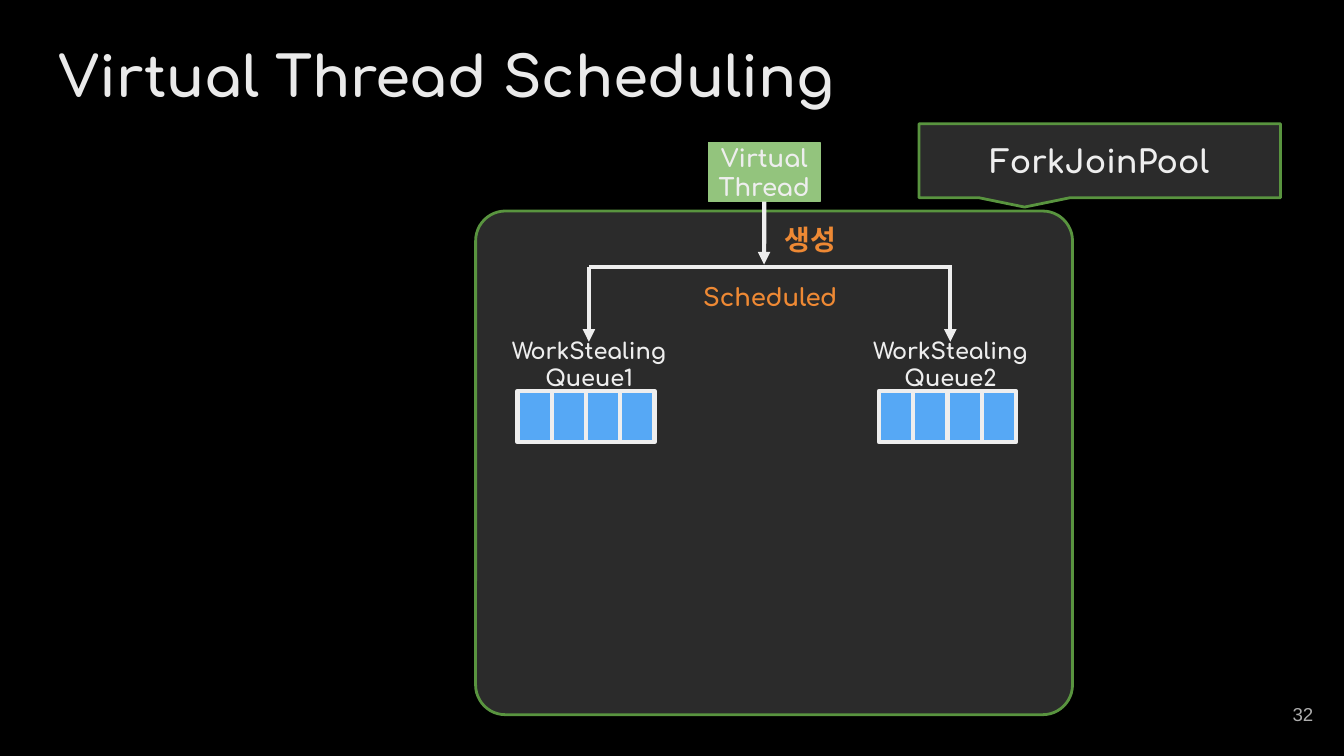
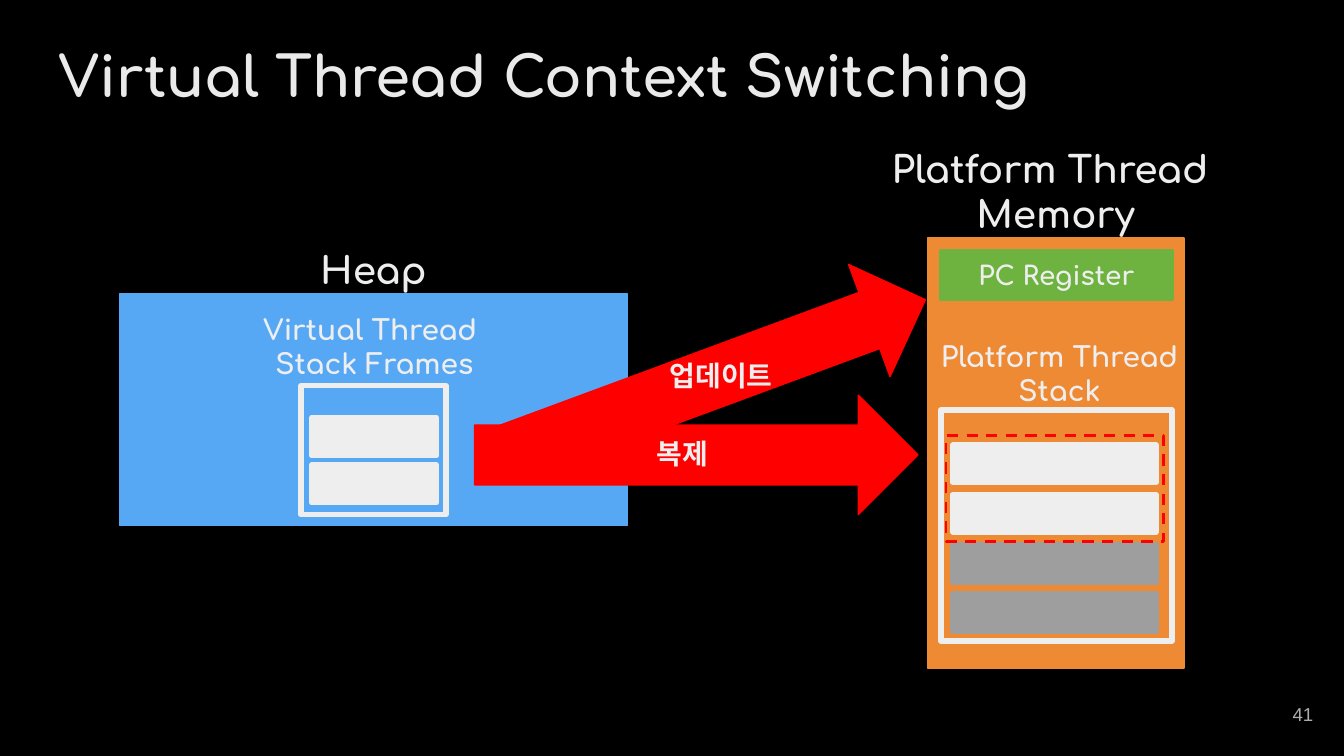
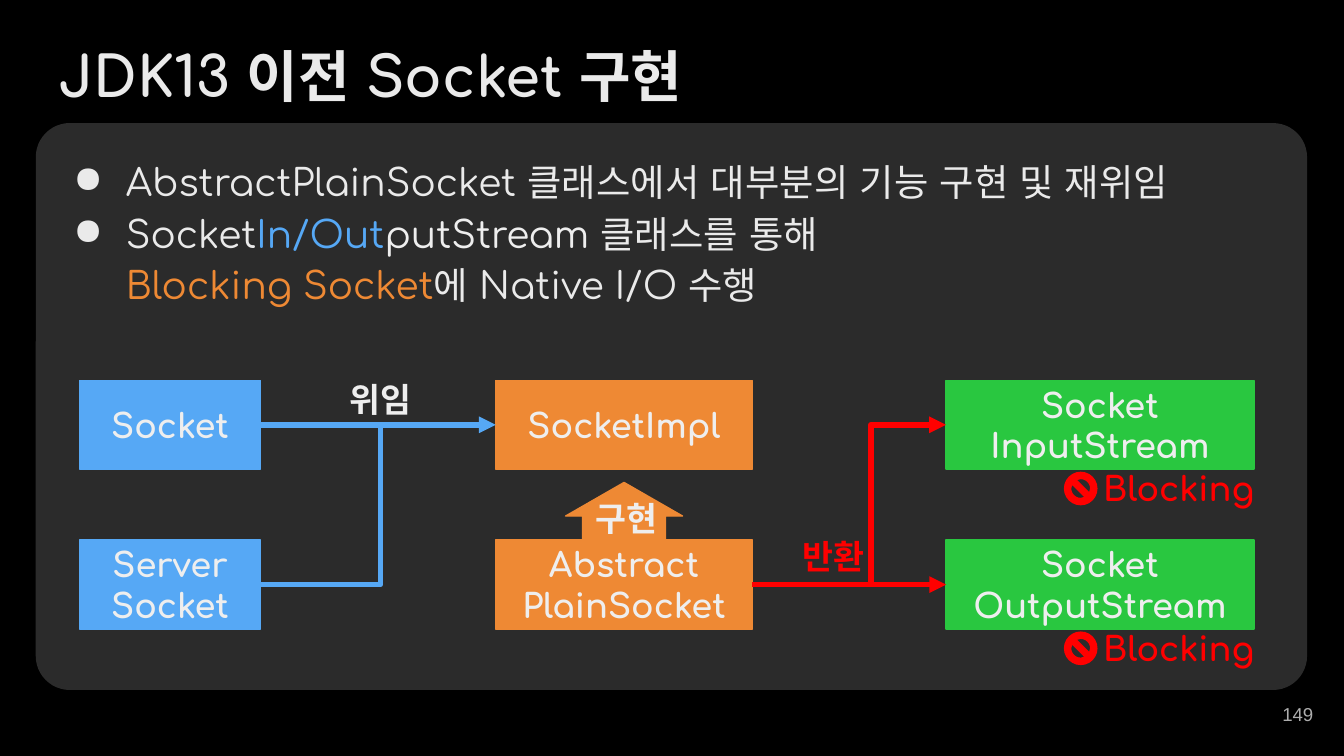
from dataclasses import dataclass
from typing import NamedTuple

from lxml import etree
from pptx import Presentation
from pptx.dml.color import RGBColor
from pptx.enum.dml import MSO_LINE
from pptx.enum.shapes import MSO_CONNECTOR, MSO_SHAPE
from pptx.enum.text import MSO_ANCHOR, MSO_AUTO_SIZE, PP_ALIGN
from pptx.oxml.ns import qn
from pptx.util import Cm, Pt

RECT = MSO_SHAPE.RECTANGLE
ROUNDED = MSO_SHAPE.ROUNDED_RECTANGLE
CALLOUT = MSO_SHAPE.RECTANGULAR_CALLOUT
RIGHT_ARROW = MSO_SHAPE.RIGHT_ARROW
UP_ARROW = MSO_SHAPE.UP_ARROW
NO_SYMBOL = MSO_SHAPE.NO_SYMBOL
STRAIGHT, ELBOW = MSO_CONNECTOR.STRAIGHT, MSO_CONNECTOR.ELBOW
LEFT, CENTER, RIGHT = PP_ALIGN.LEFT, PP_ALIGN.CENTER, PP_ALIGN.RIGHT
TOP, MIDDLE = MSO_ANCHOR.TOP, MSO_ANCHOR.MIDDLE
DASH = MSO_LINE.DASH
NO_AUTOFIT = MSO_AUTO_SIZE.NONE
LEFT_SIDE, BOTTOM_SIDE, RIGHT_SIDE = 1, 2, 3

BLACK, PANEL, GRAY, NUMBER_GRAY = "000000", "2B2B2B", "9E9E9E", "ADADAD"
TITLE_WHITE, WHITE = "EAEAEA", "EEEEEE"
BLUE, ORANGE, RED, GREEN = "56A8F5", "EE8934", "FF0000", "29C740"
POOL_GREEN, THREAD_GREEN, REGISTER_GREEN = "59943F", "93C47D", "6EB33F"
FONT, NUMBER_FONT = "Comfortaa", "Arial"
TITLE_ONLY = 5


class Box(NamedTuple):
    """A place on the slide, in centimetres."""
    left: float
    top: float
    width: float
    height: float

    def lengths(self):
        return [Cm(value) for value in self]


class Look(NamedTuple):
    fill: str | None
    line: str
    weight: float = 0.75


@dataclass(frozen=True)
class Words:
    """Text where a newline starts a paragraph and a vertical tab breaks a line."""
    text: str
    size: float
    color: str = WHITE
    bold: bool = True
    align: PP_ALIGN = CENTER
    font: str = FONT


@dataclass(frozen=True)
class Label:
    box: Box
    words: Words
    inset: float = 0.25


@dataclass(frozen=True)
class ClassBox:
    left: float
    width: float
    row: float
    name: str
    color: str


def rgb(color: str) -> RGBColor:
    return RGBColor.from_string(color)


def add_runs(paragraph, words: Words) -> None:
    for index, piece in enumerate(words.text.split("\v")):
        if index:
            paragraph.add_line_break()
        if not piece:
            continue
        run = paragraph.add_run()
        run.text = piece
        font = run.font
        font.name, font.size, font.bold = words.font, Pt(words.size), words.bold
        font.color.rgb = rgb(words.color)
        east_asian = etree.SubElement(run.font._element, qn("a:ea"))
        east_asian.set("typeface", words.font)


def set_frame(frame, anchor: MSO_ANCHOR, inset: float) -> None:
    frame.word_wrap = True
    frame.auto_size = NO_AUTOFIT
    frame.vertical_anchor = anchor
    frame.margin_left = frame.margin_right = Cm(inset)
    frame.margin_top = frame.margin_bottom = Cm(inset)


def write(frame, words: Words, anchor: MSO_ANCHOR = TOP, inset: float = 0.25) -> None:
    set_frame(frame, anchor, inset)
    for index, text in enumerate(words.text.split("\n")):
        paragraph = frame.add_paragraph() if index else frame.paragraphs[0]
        paragraph.alignment = words.align
        add_runs(paragraph, Words(text, words.size, words.color, words.bold,
                                  font=words.font))


def add_label(slide, label: Label, anchor: MSO_ANCHOR = TOP) -> None:
    text_box = slide.shapes.add_textbox(*label.box.lengths())
    write(text_box.text_frame, label.words, anchor, label.inset)


def add_figure(slide, kind: MSO_SHAPE, box: Box, look: Look,
               adjustments: tuple = (), words: Words | None = None,
               inset: float = 0.05):
    figure = slide.shapes.add_shape(kind, *box.lengths())
    figure.shadow.inherit = False
    for index, value in enumerate(adjustments):
        figure.adjustments[index] = value
    if look.fill:
        figure.fill.solid()
        figure.fill.fore_color.rgb = rgb(look.fill)
    else:
        figure.fill.background()
    figure.line.color.rgb = rgb(look.line)
    figure.line.width = Pt(look.weight)
    if words:
        write(figure.text_frame, words, MIDDLE, inset)
    return figure


def add_line(slide, start: tuple, end: tuple, color: str = WHITE,
             weight: float = 2.25, arrow: str = "", kind: MSO_CONNECTOR = STRAIGHT):
    """Draw a connector; arrow is "", "headEnd" (at start) or "tailEnd" (at end)."""
    points = [Cm(value) for value in (*start, *end)]
    connector = slide.shapes.add_connector(kind, *points)
    connector.line.color.rgb = rgb(color)
    connector.line.width = Pt(weight)
    properties = connector._element.spPr
    if kind == ELBOW:
        properties.find(qn("a:prstGeom")).set("prst", "bentConnector2")
    if arrow:
        tip = etree.SubElement(properties.find(qn("a:ln")), qn(f"a:{arrow}"))
        tip.set("type", "triangle")
    etree.SubElement(properties, qn("a:effectLst"))
    return connector


def start_slide(presentation, title: str, number: int):
    """Add a slide with its title and page number."""
    slide = presentation.slides.add_slide(presentation.slide_layouts[TITLE_ONLY])
    heading = slide.shapes.title
    heading.left, heading.top, heading.width, heading.height = Box(
        0.86, 0.53, 21.87, 2.13).lengths()
    write(heading.text_frame, Words(title, 30, TITLE_WHITE, align=LEFT))
    page = Words(str(number), 10, NUMBER_GRAY, False, RIGHT, NUMBER_FONT)
    add_label(slide, Label(Box(23.55, 12.95, 1.52, 1.09), page), MIDDLE)
    return slide


def add_queue(slide, left: float, name: str, branch_top: float) -> None:
    """Draw a four-cell queue with its name and the arrow that feeds it."""
    queue = Box(left, 7.39, 2.59, 0.97)
    add_figure(slide, RECT, queue, Look(BLUE, WHITE, 2.25))
    for cell in (1, 2, 3):
        x = left + cell * queue.width / 4
        add_line(slide, (x, queue.top), (x, queue.top + queue.height))
    add_label(slide, Label(Box(left - 0.64, 6.12, 3.99, 1.55),
                           Words(f"WorkStealing\v{name}", 12)))
    x = left + 1.35
    add_line(slide, (x, branch_top), (x, 6.46), arrow="tailEnd")


def build_scheduling(presentation) -> None:
    slide = start_slide(presentation, "Virtual Thread Scheduling", 32)
    pool_look = Look(PANEL, POOL_GREEN, 1.5)
    add_figure(slide, ROUNDED, Box(8.99, 3.99, 11.28, 9.52), pool_look, (0.059,))
    add_figure(slide, CALLOUT, Box(17.37, 2.34, 6.83, 1.4), pool_look,
               (-0.208, 0.625), Words("ForkJoinPool", 17))

    thread = add_figure(slide, RECT, Box(13.39, 2.69, 2.11, 1.12),
                        Look(THREAD_GREEN, THREAD_GREEN),
                        words=Words("Virtual\vThread", 13), inset=0)
    branch_top = 5.05
    add_line(slide, (17.99, branch_top), (11.13, branch_top))
    creation = add_line(slide, (14.44, 3.81), (14.44, 5), arrow="tailEnd")
    creation.begin_connect(thread, BOTTOM_SIDE)
    for left, name in ((9.78, "Queue1"), (16.61, "Queue2")):
        add_queue(slide, left, name, branch_top)

    add_label(slide, Label(Box(14.73, 4.11, 1.52, 1.04),
                           Words("생성", 15, ORANGE, align=LEFT), 0.1))
    add_label(slide, Label(Box(12.8, 5.23, 3.51, 0.97),
                           Words("Scheduled", 13, ORANGE), 0.1))


def add_frames(slide, first: Box, step: float, colors: tuple) -> None:
    """Draw stack frames downwards at an equal step."""
    for index, color in enumerate(colors):
        frame = first._replace(top=first.top + index * step)
        add_figure(slide, RECT, frame, Look(color, color, 3))


def build_context_switching(presentation) -> None:
    slide = start_slide(presentation, "Virtual Thread Context Switching", 41)
    add_figure(slide, RECT, Box(2.26, 5.56, 9.6, 4.37), Look(BLUE, BLUE))
    add_figure(slide, RECT, Box(17.53, 4.5, 4.85, 8.13), Look(ORANGE, ORANGE))
    add_figure(slide, RECT, Box(5.69, 7.29, 2.74, 2.44), Look(BLUE, WHITE, 3))
    add_frames(slide, Box(5.89, 7.9, 2.36, 0.71), 0.89, (WHITE, WHITE))

    add_figure(slide, RECT, Box(17.78, 4.75, 4.37, 0.91),
               Look(REGISTER_GREEN, REGISTER_GREEN, 2.25),
               words=Words("PC Register", 14))
    add_figure(slide, RECT, Box(17.78, 7.75, 4.37, 4.37), Look(ORANGE, WHITE, 3))
    add_frames(slide, Box(18.01, 8.41, 3.84, 0.71), 0.94, (WHITE, WHITE, GRAY, GRAY))
    copied = add_figure(slide, RECT, Box(17.88, 8.23, 4.11, 2.01),
                        Look(None, RED, 1.5))
    copied.line.dash_style = DASH

    for left, top, angle in ((9.37, 5.99, 339.7), (8.97, 7.47, 0)):
        arrow = add_figure(slide, RIGHT_ARROW, Box(left, top, 8.38, 2.26),
                           Look(RED, RED), (0.5, 0.5))
        arrow.rotation = angle

    labels = (
        Label(Box(3.53, 4.42, 7.06, 1.37), Words("Heap", 20)),
        Label(Box(16.38, 2.51, 7.14, 2.24), Words("Platform Thread \nMemory", 20)),
        Label(Box(3.99, 5.66, 6.17, 1.8), Words("Virtual Thread \vStack Frames", 15)),
        Label(Box(16.94, 6.17, 6.17, 1.8), Words("Platform Thread\nStack", 15)),
        Label(Box(12.22, 6.53, 2.82, 1.14), Words("업데이트", 15)),
        Label(Box(11.79, 8, 2.21, 1.14), Words("복제", 15)),
    )
    for label in labels:
        add_label(slide, label)


def add_bullets(slide, box: Box, bullets: tuple) -> None:
    """Each bullet is a sequence of (text, colour) parts."""
    frame = slide.shapes.add_textbox(*box.lengths()).text_frame
    set_frame(frame, TOP, 0.25)
    for index, parts in enumerate(bullets):
        paragraph = frame.add_paragraph() if index else frame.paragraphs[0]
        properties = paragraph._p.get_or_add_pPr()
        properties.set("marL", str(Cm(1.27)))
        properties.set("indent", str(-Cm(0.99)))
        bullet_color = etree.SubElement(properties, qn("a:buClr"))
        etree.SubElement(bullet_color, qn("a:srgbClr")).set("val", TITLE_WHITE)
        etree.SubElement(properties, qn("a:buChar")).set("char", "●")
        paragraph.line_spacing = 1.15
        for text, color in parts:
            add_runs(paragraph, Words(text, 20, color, False))


def build_socket(presentation) -> None:
    slide = start_slide(presentation, "JDK13 이전 Socket 구현", 149)
    add_figure(slide, ROUNDED, Box(0.69, 2.34, 24, 10.69), Look(PANEL, PANEL), (0.059,))
    add_bullets(slide, Box(0.86, 2.64, 23.85, 10.31), (
        (("AbstractPlainSocket 클래스에서 대부분의 기능 구현 및 재위임", TITLE_WHITE),),
        (("Socket", TITLE_WHITE), ("In/Out", BLUE), ("putStream", WHITE),
         (" 클래스를 통해 \v", TITLE_WHITE), ("Blocking Socket", ORANGE),
         ("에 Native I/O 수행", TITLE_WHITE)),
    ))
    add_figure(slide, UP_ARROW, Box(10.69, 9.12, 2.21, 1.27), Look(ORANGE, ORANGE),
               (0.708, 0.5))

    upper, lower, height = 7.19, 10.21, 1.68
    upper_middle, lower_middle = upper + height / 2, lower + height / 2
    callers, implementations, streams = (1.5, 3.43), (9.37, 4.85), (17.88, 5.82)
    class_boxes = (
        ClassBox(*callers, upper, "Socket", BLUE),
        ClassBox(*callers, lower, "Server\vSocket", BLUE),
        ClassBox(*implementations, upper, "SocketImpl", ORANGE),
        ClassBox(*implementations, lower, "Abstract\vPlainSocket", ORANGE),
        ClassBox(*streams, upper, "Socket\vInputStream", GREEN),
        ClassBox(*streams, lower, "Socket\vOutputStream", GREEN),
    )
    socket, _, socket_impl, plain_socket, _, output_stream = [
        add_figure(slide, RECT, Box(item.left, item.row, item.width, height),
                   Look(item.color, item.color), words=Words(item.name, 18))
        for item in class_boxes]

    for source, target, middle, color in (
            (socket, socket_impl, upper_middle, BLUE),
            (plain_socket, output_stream, lower_middle, RED)):
        link = add_line(slide, (4.93, middle), (9.37, middle), color, 3, "tailEnd")
        link.begin_connect(source, RIGHT_SIDE)
        link.end_connect(target, LEFT_SIDE)
    add_line(slide, (4.93, lower_middle), (7.19, upper_middle), BLUE, 3, kind=ELBOW)
    add_line(slide, (17.88, upper_middle), (16.46, lower_middle), RED, 3,
             "headEnd", ELBOW)

    for left, top, text, color in ((11, 9.17, "구현", WHITE),
                                   (6.35, 6.91, "위임", WHITE),
                                   (14.91, 9.88, "반환", RED)):
        add_label(slide, Label(Box(left, top, 1.85, 1.27),
                               Words(text, 18, color, align=LEFT)))
    for row in (upper, lower):
        add_figure(slide, NO_SYMBOL, Box(20.12, row + 1.74, 0.61, 0.61),
                   Look(RED, RED), (0.188,))
        add_label(slide, Label(Box(20.6, row + 1.41, 3.38, 1.27),
                               Words("Blocking", 18, RED, align=LEFT)))


def main() -> None:
    presentation = Presentation()
    presentation.slide_width, presentation.slide_height = Cm(25.4), Cm(14.29)
    background = presentation.slide_master.background.fill
    background.solid()
    background.fore_color.rgb = rgb(BLACK)
    build_scheduling(presentation)
    build_context_switching(presentation)
    build_socket(presentation)
    presentation.save("out.pptx")


if __name__ == "__main__":
    main()
